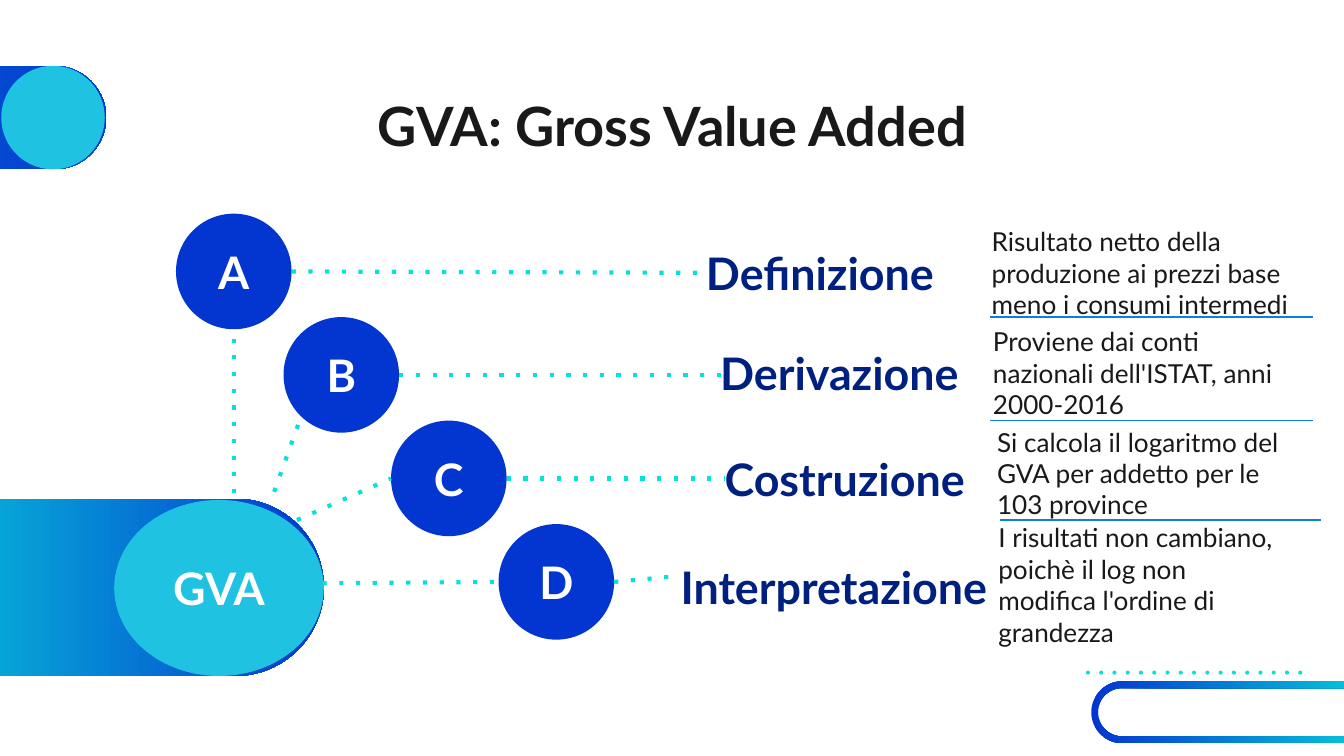
import math
from lxml import etree
from pptx import Presentation, util as u
from pptx.dml.color import RGBColor
from pptx.enum import shapes, text
from pptx.oxml import ns

COLUMNS, ROWS = 100, 56.25
BLUE, CYAN, SKY, NAVY = "0336D0", "08E0DB", "1FC2E1", "002080"
INK, WHITE, RULE = "191919", "FFFFFF", "0E80DB"
OVAL, PILL = shapes.MSO_SHAPE.OVAL, shapes.MSO_SHAPE.ROUNDED_RECTANGLE
LEFT, CENTER = text.PP_ALIGN.LEFT, text.PP_ALIGN.CENTER
TOP, MIDDLE = text.MSO_ANCHOR.TOP, text.MSO_ANCHOR.MIDDLE
colour = RGBColor.from_string

deck = Presentation()
deck.slide_width = u.Inches(10)
cell = deck.slide_width // COLUMNS
deck.slide_height = int(ROWS * cell)
slide = deck.slides.add_slide(deck.slide_layouts[6])
canvas = slide.shapes


def paint(shape, *hues):
    shape.shadow.inherit = False
    shape.line.fill.background()
    if len(hues) == 1:
        shape.fill.solid()
        shape.fill.fore_color.rgb = colour(hues[0])
        return
    shape.fill.gradient()
    shape.fill.gradient_angle = 0
    for stop, hue in zip(shape.fill.gradient_stops, hues):
        stop.color.rgb = colour(hue)


def write(shape, words, size, hue, bold=True, align=CENTER, anchor=MIDDLE, inset=1):
    frame = shape.text_frame
    margins = {f"margin_{side}": int(inset * cell) for side in ("left", "top", "right", "bottom")}
    layout = {"word_wrap": True, "vertical_anchor": anchor, **margins}
    for name, value in layout.items():
        setattr(frame, name, value)
    paragraph = frame.paragraphs[0]
    paragraph.alignment = align
    run = paragraph.add_run()
    run.text = words
    for name, value in {"name": "Lato", "size": u.Pt(size), "bold": bold}.items():
        setattr(run.font, name, value)
    run.font.color.rgb = colour(hue)


for dot in range(17):
    place = (80.8 + dot * 15.8 / 16, 49.9, 0.3, 0.3)
    paint(canvas.add_shape(OVAL, *(int(v * cell) for v in place)), CYAN)

ring = None
for radius in (2.3, 1.8):
    outline = []
    for center, start in ((102.6, -90), (83.5, 90)):
        for degrees in range(start, start + 181, 6):
            angle = math.radians(degrees)
            outline.append((int((center + radius * math.cos(angle)) * cell),
                            int((53 + radius * math.sin(angle)) * cell)))
    if ring is None:
        ring = canvas.build_freeform(*outline[0])
    else:
        ring.move_to(*outline[0])
    ring.add_line_segments(outline[1:], close=True)
paint(ring.convert_to_shape(), BLUE, CYAN)

for pill, disc, caption in (
    ((-56.6, 4.9, 64.5, 7.7), (0.1, 4.9, 7.7, 7.7), None),
    ((-12.7, 37.1, 36.8, 13.2), (8.5, 37.2, 15.6, 13.1), "GVA"),
):
    bar = canvas.add_shape(PILL, *(int(v * cell) for v in pill))
    bar.adjustments[0] = 0.5
    paint(bar, CYAN, BLUE)
    knob = canvas.add_shape(OVAL, *(int(v * cell) for v in disc))
    paint(knob, SKY)
    if caption:
        write(knob, caption, 24, WHITE)

title = canvas.add_textbox(*(int(v * cell) for v in (7.9, 5.9, 84.3, 6.2)))
write(title, "GVA: Gross Value Added", 29, INK, anchor=TOP)

topics = (
    ("Definizione", (51.9, 17.1, 18.2, 6.4),
     "Risultato netto della produzione ai prezzi base meno i consumi intermedi",
     (72.8, 17.1, 27.2, 6.4)),
    ("Derivazione", (53, 24.6, 18.9, 6.3),
     "Proviene dai conti nazionali dell'ISTAT, anni 2000-2016",
     (72.9, 24.6, 23, 6.3)),
    ("Costruzione", (52.7, 32.3, 20.3, 6.7),
     "Si calcola il logaritmo del GVA per addetto per le 103 province",
     (73.2, 32.1, 23.8, 6.2)),
    ("Interpretazione", (49.7, 40.8, 24.7, 5.7),
     "I risultati non cambiano, poichè il log non modifica l'ordine di grandezza",
     (73.3, 40.7, 23.7, 5.6)),
)
headings = []
for heading, heading_place, detail, detail_place in topics:
    explanation = canvas.add_textbox(*(int(v * cell) for v in detail_place))
    write(explanation, detail, 14, INK, bold=False, align=LEFT)
    label = canvas.add_textbox(*(int(v * cell) for v in heading_place))
    write(label, heading, 24, NAVY, inset=0)
    headings.append(label)

for step, letter in enumerate("ABCD"):
    place = (13.1 + 8 * step, 15.9 + 7.7 * step, 8.6, 8.6)
    badge = canvas.add_shape(OVAL, *(int(v * cell) for v in place))
    paint(badge, BLUE)
    write(badge, letter, 24, WHITE)

branches = [(20.4, 36.6, 22.4, 31), (24, 43.4, 37.1, 43.3),
            (22.1, 38.7, 29.1, 35.6), (17.4, 36.7, 17.4, 24.5)]
leads = [(21.7, 20.2, 51.9, 20.3), (29.7, 27.9, 53.9, 27.9),
         (37.7, 35.6, 53.9, 35.6), (45.7, 43.3, 50.1, 42.9)]
dividers = [(73.7, 23.6, 97.7, 23.6), (73.7, 31.3, 97.7, 31.3), (74.4, 38.7, 98.3, 38.7)]
for routes, hue, weight, dotted in ((branches + leads, CYAN, 2.25, True),
                                    (dividers, RULE, 0.75, False)):
    for route in routes:
        link = canvas.add_connector(shapes.MSO_CONNECTOR.STRAIGHT, *(int(v * cell) for v in route))
        link.line.color.rgb = colour(hue)
        link.line.width = u.Pt(weight)
        outline = link._element.spPr
        if dotted:
            etree.SubElement(outline.find(ns.qn("a:ln")), ns.qn("a:prstDash"), val="dot")
        etree.SubElement(outline, ns.qn("a:effectLst"))
        if route == leads[0]:
            link.end_connect(headings[0], 1)

deck.save("out.pptx")
